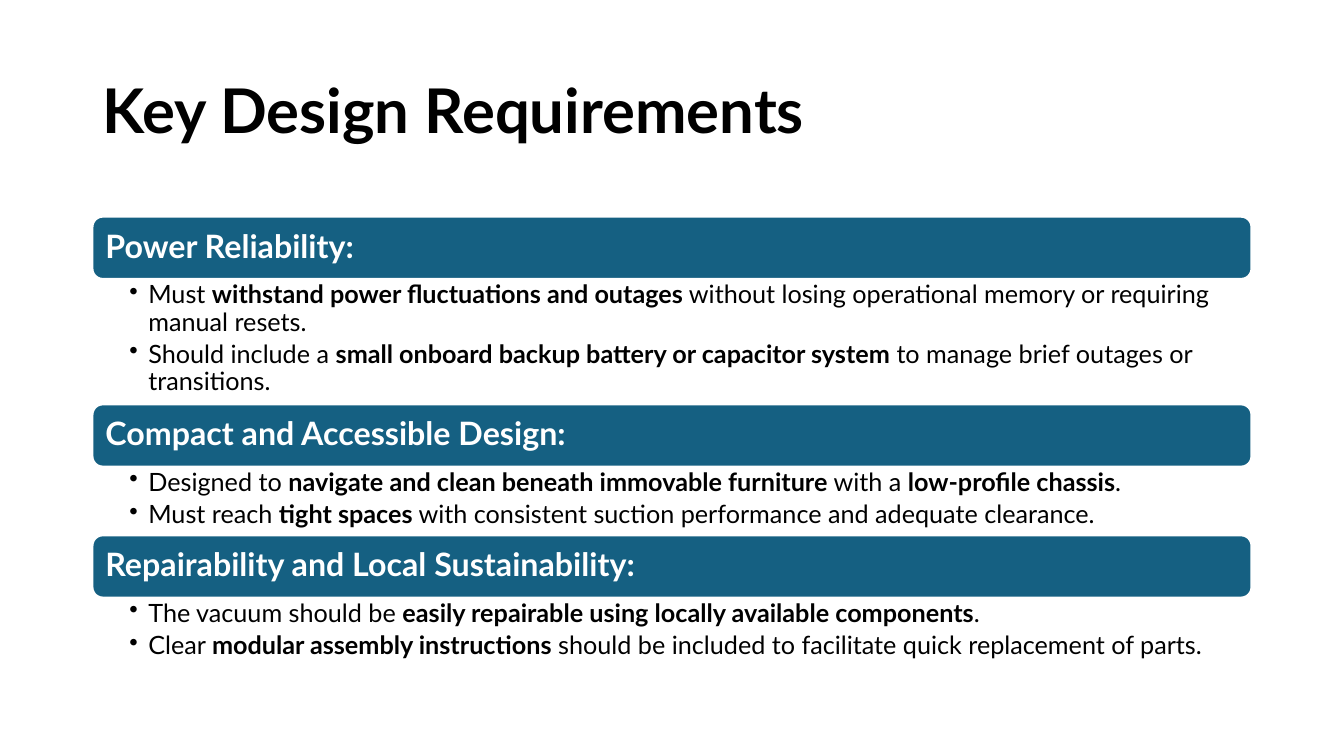
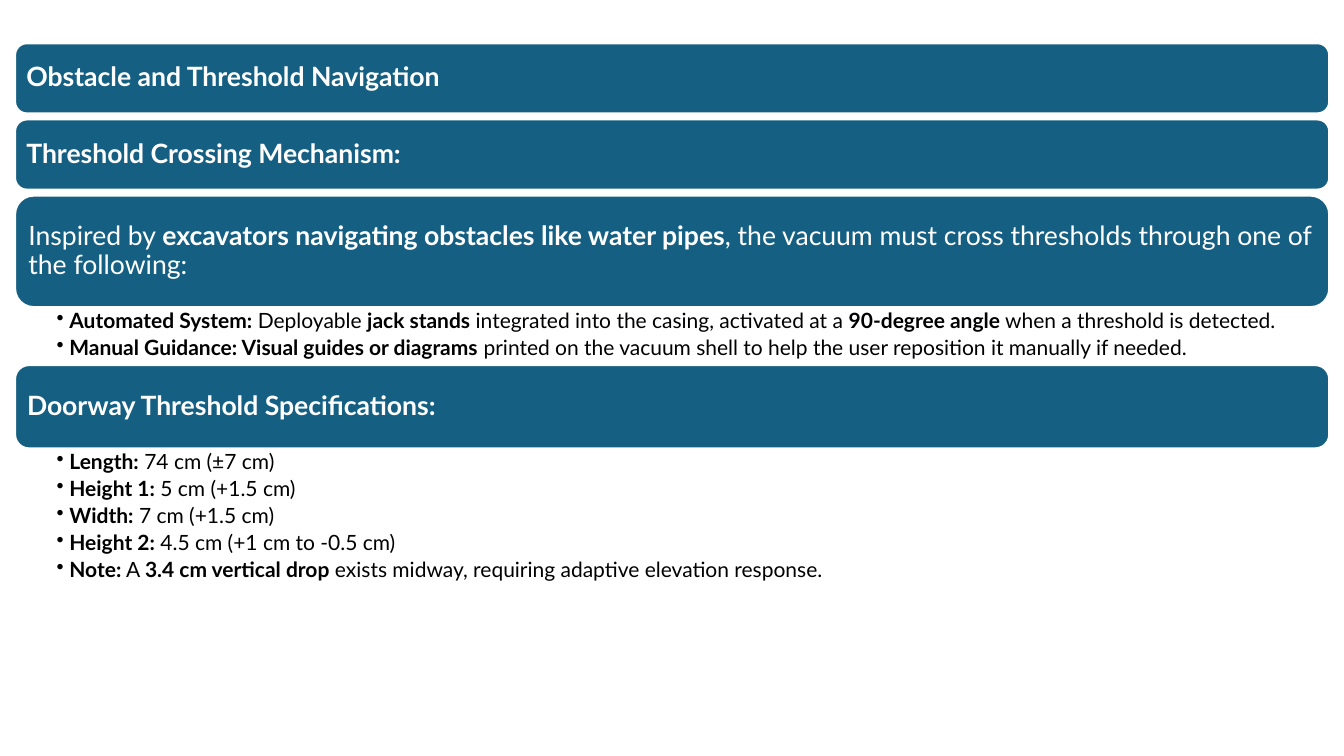
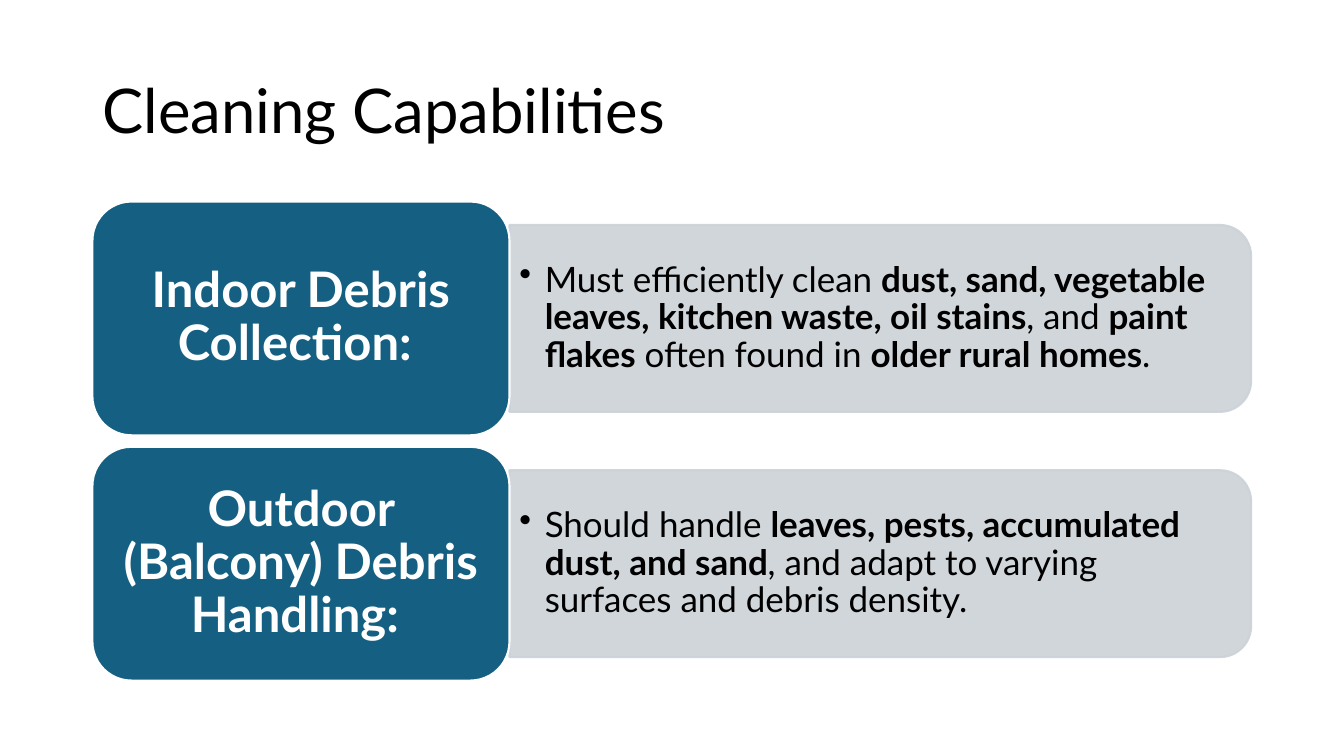
from dataclasses import dataclass

from lxml import etree
from pptx import Presentation
from pptx.dml.color import RGBColor
from pptx.enum.shapes import MSO_SHAPE
from pptx.enum.text import MSO_ANCHOR, PP_ALIGN
from pptx.oxml.ns import qn
from pptx.shapes.autoshape import Shape
from pptx.slide import Slide
from pptx.util import Cm, Pt

ROUNDED = MSO_SHAPE.ROUNDED_RECTANGLE
TOP_ROUNDED = MSO_SHAPE.ROUND_2_SAME_RECTANGLE
TOP, MIDDLE = MSO_ANCHOR.TOP, MSO_ANCHOR.MIDDLE
LEFT, CENTER = PP_ALIGN.LEFT, PP_ALIGN.CENTER

COLORS = {"bar": "156082", "panel": "CCD2D8", "white": "FFFFFF", "black": "000000"}
FONT = "Lato"
LINE_SPACING = 0.9
LINE_WIDTH = 1.5
PANEL_OPACITY = 90
MARGIN_LEFT = 2.33
CONTENT_WIDTH = 29.21


@dataclass(frozen=True)
class Box:
    left: float
    top: float
    width: float
    height: float


@dataclass(frozen=True)
class TextStyle:
    size: float
    color: str
    insets: tuple[float, float, float, float]
    anchor: MSO_ANCHOR = MIDDLE
    align: PP_ALIGN = LEFT
    space_after: float = 0
    indent: float = 0


@dataclass(frozen=True)
class Section:
    heading: str
    bar_height: float
    bullets: tuple[str, ...] = ()
    body_height: float = 0


@dataclass(frozen=True)
class StackStyle:
    left: float
    top: float
    width: float
    heading: TextStyle
    body: TextStyle
    gap: float = 0.15


@dataclass(frozen=True)
class Card:
    heading: str
    detail: str


TITLE_STYLE = TextStyle(44, "black", (0.25, 0.13, 0.25, 0.13))
TITLE_BOX = Box(MARGIN_LEFT, 1.01, CONTENT_WIDTH, 3.68)

REQUIREMENTS_STYLE = StackStyle(
    MARGIN_LEFT, 5.46, CONTENT_WIDTH,
    heading=TextStyle(23, "white", (0.25,) * 4, space_after=0.35),
    body=TextStyle(18, "black", (0.93, 0.08, 0.46, 0.08), TOP, space_after=0.2, indent=0.48),
)
REQUIREMENTS = (
    Section("**Power Reliability:**", 1.57, (
        "Must **withstand power fluctuations and outages** without losing operational memory or requiring manual resets.",
        "Should include a **small onboard backup battery or capacitor system** to manage brief outages or transitions.",
    ), 3.16),
    Section("**Compact and Accessible Design:**", 1.57, (
        "Designed to **navigate and clean beneath immovable furniture** with a **low-profile chassis**.",
        "Must reach **tight spaces** with consistent suction performance and adequate clearance.",
    ), 1.73),
    Section("**Repairability and Local Sustainability:**", 1.57, (
        "The vacuum should be **easily repairable using locally available components**.",
        "Clear **modular assembly instructions** should be included to facilitate quick replacement of parts.",
    ), 1.73),
)

NAVIGATION_STYLE = StackStyle(
    0.38, 1.09, 33.12,
    heading=TextStyle(19, "white", (0.2,) * 4, space_after=0.35),
    body=TextStyle(15, "black", (1.05, 0.08, 0.38, 0.08), TOP, space_after=0.2, indent=0.32),
)
NAVIGATION = (
    Section("**Obstacle and Threshold Navigation**", 1.77),
    Section("**Threshold Crossing Mechanism:**", 1.77),
    Section(
        "Inspired by **excavators navigating obstacles like water pipes**, "
        "the vacuum must cross thresholds through one of the following:", 2.81, (
            "**Automated System:** Deployable **jack stands** integrated into the casing, "
            "activated at a **90-degree angle** when a threshold is detected.",
            "**Manual Guidance: Visual guides or diagrams** printed on the vacuum shell "
            "to help the user reposition it manually if needed.",
        ), 1.46),
    Section("**Doorway Threshold Specifications:**", 2.1, (
        "**Length:** 74 cm (±7 cm)",
        "**Height 1:** 5 cm (+1.5 cm)",
        "**Width:** 7 cm (+1.5 cm)",
        "**Height 2:** 4.5 cm (+1 cm to -0.5 cm)",
        "**Note:** A **3.4 cm vertical drop** exists midway, requiring adaptive elevation response.",
    ), 3.6),
)

CARD_BOX = Box(MARGIN_LEFT, 5.08, 10.51, 5.89)
CARD_PITCH = 6.18
PANEL_WIDTH, PANEL_HEIGHT = 18.69, 4.71
DETAIL_WIDTH, DETAIL_HEIGHT = 18.47, 4.27
CARD_STYLE = TextStyle(35, "white", (0.37, 0.19, 0.37, 0.19), align=CENTER, space_after=0.35)
DETAIL_STYLE = TextStyle(25, "black", (0.25, 0.13, 0.25, 0.13), space_after=0.15, indent=0.64)
CARDS = (
    Card("**Indoor Debris Collection: **",
         "Must efficiently clean **dust, sand, vegetable leaves, kitchen waste, oil stains**, "
         "and **paint flakes** often found in **older rural homes**."),
    Card("**Outdoor (Balcony) Debris Handling: **",
         "Should handle **leaves, pests, accumulated dust, and sand**, "
         "and adapt to varying surfaces and debris density."),
)


def color_of(name: str) -> RGBColor:
    return RGBColor.from_string(COLORS[name])


def write_text(shape: Shape, texts: tuple[str, ...], style: TextStyle) -> None:
    frame = shape.text_frame
    frame.word_wrap = True
    frame.vertical_anchor = style.anchor
    frame.margin_left, frame.margin_top, frame.margin_right, frame.margin_bottom = map(Cm, style.insets)
    for index, text in enumerate(texts):
        paragraph = frame.add_paragraph() if index else frame.paragraphs[0]
        paragraph.alignment = style.align
        paragraph.line_spacing = LINE_SPACING
        paragraph.space_after = Pt(style.space_after * style.size)
        if style.indent:
            paragraph.level = 1
            properties = paragraph._p.get_or_add_pPr()
            properties.set("marL", str(Cm(style.indent)))
            properties.set("indent", str(-Cm(style.indent)))
            etree.SubElement(properties, qn("a:buChar"), char="•")
        for position, part in enumerate(text.split("**")):
            if part:
                run = paragraph.add_run()
                run.text = part
                run.font.name = FONT
                run.font.size = Pt(style.size)
                run.font.bold = position % 2 == 1
                run.font.color.rgb = color_of(style.color)


def add_text(slide: Slide, box: Box, texts: tuple[str, ...], style: TextStyle) -> None:
    shape = slide.shapes.add_textbox(Cm(box.left), Cm(box.top), Cm(box.width), Cm(box.height))
    write_text(shape, texts, style)


def add_block(slide: Slide, preset: MSO_SHAPE, box: Box, fill: str, line: str) -> Shape:
    shape = slide.shapes.add_shape(preset, Cm(box.left), Cm(box.top), Cm(box.width), Cm(box.height))
    shape.shadow.inherit = False
    shape.fill.solid()
    shape.fill.fore_color.rgb = color_of(fill)
    shape.line.color.rgb = color_of(line)
    shape.line.width = Pt(LINE_WIDTH)
    return shape


def add_bar(slide: Slide, box: Box, heading: str, style: TextStyle) -> None:
    write_text(add_block(slide, ROUNDED, box, "bar", "white"), (heading,), style)


def add_panel(slide: Slide, left: float, middle: float) -> None:
    upright = Box(left + (PANEL_WIDTH - PANEL_HEIGHT) / 2, middle - PANEL_WIDTH / 2,
                  PANEL_HEIGHT, PANEL_WIDTH)
    panel = add_block(slide, TOP_ROUNDED, upright, "panel", "panel")
    panel.rotation = 90
    for color in panel._element.spPr.iter(qn("a:srgbClr")):
        etree.SubElement(color, qn("a:alpha"), val=str(PANEL_OPACITY * 1000))


def add_stack(slide: Slide, sections: tuple[Section, ...], style: StackStyle) -> None:
    top = style.top
    for section in sections:
        add_bar(slide, Box(style.left, top, style.width, section.bar_height),
                section.heading, style.heading)
        top += section.bar_height
        if section.bullets:
            add_text(slide, Box(style.left, top, style.width, section.body_height),
                     section.bullets, style.body)
            top += section.body_height
        else:
            top += style.gap


def add_cards(slide: Slide, cards: tuple[Card, ...]) -> None:
    panel_left = CARD_BOX.left + CARD_BOX.width
    for index, card in enumerate(cards):
        top = CARD_BOX.top + index * CARD_PITCH
        middle = top + CARD_BOX.height / 2
        add_panel(slide, panel_left, middle)
        add_text(slide, Box(panel_left, middle - DETAIL_HEIGHT / 2, DETAIL_WIDTH, DETAIL_HEIGHT),
                 (card.detail,), DETAIL_STYLE)
        add_bar(slide, Box(CARD_BOX.left, top, CARD_BOX.width, CARD_BOX.height),
                card.heading, CARD_STYLE)


def main() -> None:
    presentation = Presentation()
    presentation.slide_width = Cm(33.87)
    presentation.slide_height = Cm(19.05)
    blank = presentation.slide_layouts[6]

    requirements = presentation.slides.add_slide(blank)
    add_text(requirements, TITLE_BOX, ("**Key Design Requirements**",), TITLE_STYLE)
    add_stack(requirements, REQUIREMENTS, REQUIREMENTS_STYLE)

    navigation = presentation.slides.add_slide(blank)
    add_stack(navigation, NAVIGATION, NAVIGATION_STYLE)

    cleaning = presentation.slides.add_slide(blank)
    add_text(cleaning, TITLE_BOX, ("Cleaning Capabilities",), TITLE_STYLE)
    add_cards(cleaning, CARDS)

    presentation.save("out.pptx")


if __name__ == "__main__":
    main()
